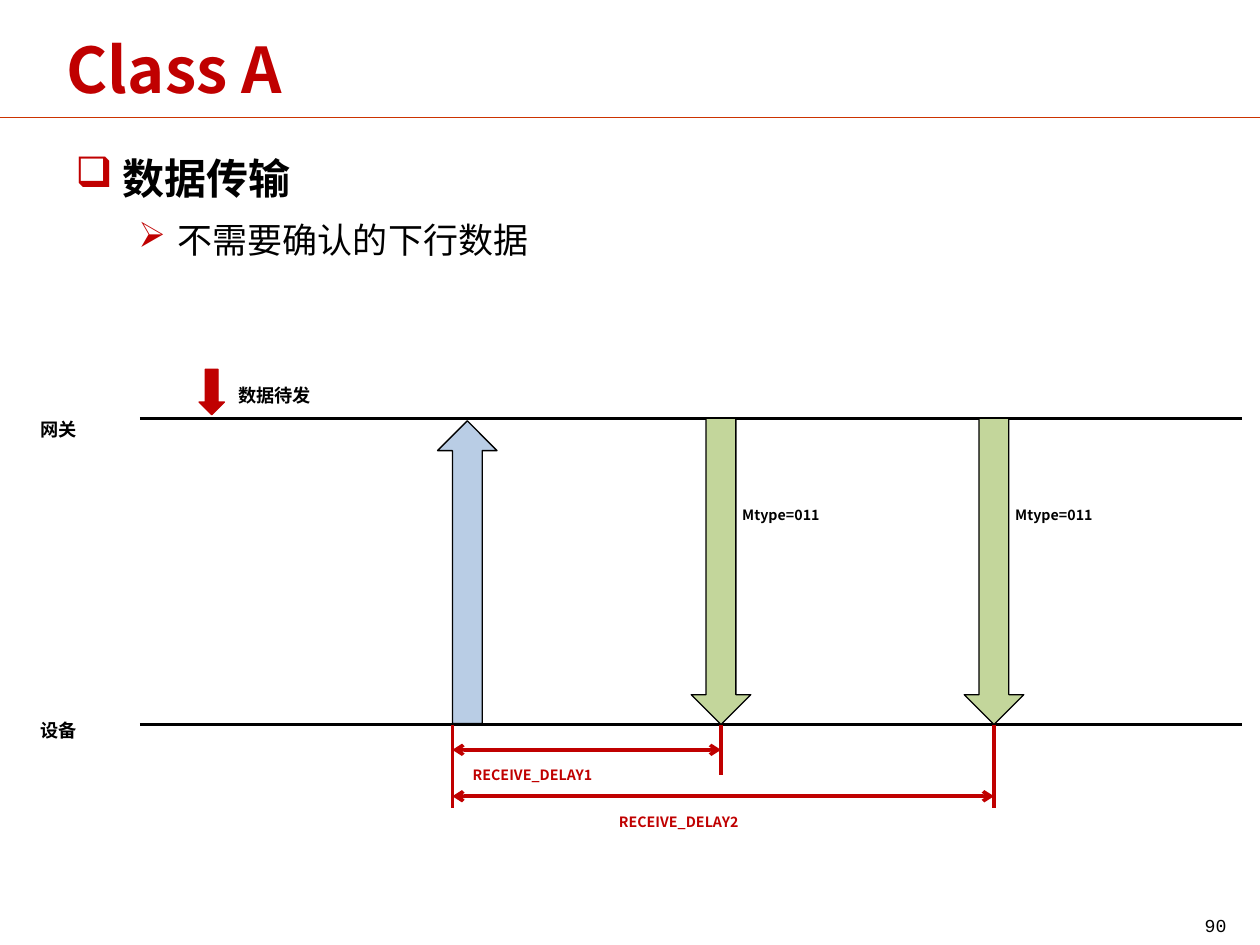
from lxml.etree import SubElement
from pptx import Presentation
from pptx.dml.color import RGBColor
from pptx.enum.shapes import MSO_CONNECTOR as Connector, MSO_SHAPE as Shape
from pptx.enum.text import MSO_ANCHOR as Anchor, PP_ALIGN as Align
from pptx.oxml.ns import qn
from pptx.util import Pt

SANS, MONO = "Noto Sans CJK SC", "Courier New"
RED, BLACK, BLUE, GREEN = "C00000", "000000", "B9CDE5", "C3D69B"

# Sequence diagram positions
GATEWAY_Y, DEVICE_Y = 239, 414
UPLINK_START_X = 258.5
WINDOW_1_X, WINDOW_2_X = 412, 568
ARROW_WIDTH = 34


def color(hex_code):
    return RGBColor.from_string(hex_code)


def format_paragraph(paragraph, size, hex_code, bold=True, font=SANS, lowered=False):
    for run in paragraph.runs:
        run.font.size, run.font.bold, run.font.name = Pt(size), bold, font
        run.font.color.rgb = color(hex_code)
        properties = run._r.get_or_add_rPr()
        SubElement(properties, qn("a:ea"), typeface=font)
        if lowered:
            properties.set("baseline", "-4000")


def add_text_frame(slide, left, top, width, height):
    frame = slide.shapes.add_textbox(Pt(left), Pt(top), Pt(width), Pt(height)).text_frame
    frame.word_wrap = True
    return frame


def add_label(slide, text, left, top, width, height, size, hex_code=BLACK, font=SANS):
    """Small label, set as subscript text."""
    frame = add_text_frame(slide, left, top, width, height)
    frame.text = text
    format_paragraph(frame.paragraphs[0], size, hex_code, font == SANS, font, lowered=True)
    return frame


def add_bullet(paragraph, text, mark, margin, indent, size, bold):
    paragraph.text = text
    properties = paragraph._p.get_or_add_pPr()
    properties.set("marL", str(Pt(margin)))
    properties.set("indent", str(Pt(indent)))
    bullet_color = SubElement(properties, qn("a:buClr"))
    SubElement(bullet_color, qn("a:srgbClr"), val=RED)
    SubElement(properties, qn("a:buChar"), char=mark)
    paragraph.line_spacing = 1.2
    format_paragraph(paragraph, size, BLACK, bold)


def add_line(slide, x1, y1, x2, y2, hex_code, width, double_headed=False):
    line = slide.shapes.add_connector(Connector.STRAIGHT, Pt(x1), Pt(y1), Pt(x2), Pt(y2))
    line.line.color.rgb = color(hex_code)
    line.line.width = Pt(width)
    if double_headed:
        stroke = line.line._get_or_add_ln()
        for end in ("a:headEnd", "a:tailEnd"):
            SubElement(stroke, qn(end), type="arrow")
    SubElement(line._element.spPr, qn("a:effectLst"))


def add_block_arrow(slide, center, top, width, height, fill, outline=BLACK, rotation=0):
    arrow = slide.shapes.add_shape(
        Shape.DOWN_ARROW, Pt(center - width / 2), Pt(top), Pt(width), Pt(height))
    arrow.shadow.inherit = False
    arrow.rotation = rotation
    arrow.fill.solid()
    arrow.fill.fore_color.rgb = color(fill)
    arrow.line.color.rgb = color(outline)
    arrow.line.width = Pt(0.75)


def add_heading(slide):
    add_line(slide, 0, 67, 720, 67, "CC3300", 0.25)
    title = add_text_frame(slide, 31, 3, 649, 72)
    title.vertical_anchor = Anchor.MIDDLE
    title.text = "Class A"
    format_paragraph(title.paragraphs[0], 36, RED)

    body = add_text_frame(slide, 36, 78, 654, 426)
    add_bullet(body.paragraphs[0], "数据传输", "❑", 27, -27, 24, True)
    detail = body.add_paragraph()
    detail.level = 1
    add_bullet(detail, "不需要确认的下行数据", "➢", 58.5, -22.5, 20, False)
    detail.space_before = Pt(4)


def add_diagram(slide):
    # Gateway and device timelines
    for name, y, label_top in (("网关", GATEWAY_Y, 227), ("设备", DEVICE_Y, 399)):
        add_line(slide, 80, y, 710, y, BLACK, 1.5)
        add_label(slide, name, 16, label_top, 53, 29, 18)

    # Pending data and uplink
    add_block_arrow(slide, 121, 211, 14.5, 26, RED, RED)
    add_label(slide, "数据待发", 129, 207.5, 91, 29, 18)
    add_block_arrow(slide, 267, 240.5, ARROW_WIDTH, 173, BLUE, rotation=180)

    # Receive windows with their delays
    add_line(slide, UPLINK_START_X, DEVICE_Y, UPLINK_START_X, 462, RED, 2)
    windows = (
        (WINDOW_1_X, 443, "RECEIVE_DELAY1", 428.5, 263),
        (WINDOW_2_X, 462, "RECEIVE_DELAY2", 455, 346.5),
    )
    for x, tick_end, delay, delay_y, label_left in windows:
        add_block_arrow(slide, x, GATEWAY_Y, ARROW_WIDTH, DEVICE_Y - GATEWAY_Y, GREEN)
        add_label(slide, "Mtype=011", x + 5, 279.5, 101, 25, 14)
        add_line(slide, x, DEVICE_Y, x, tick_end, RED, 2)
        add_line(slide, UPLINK_START_X, delay_y, x, delay_y, RED, 2, double_headed=True)
        add_label(slide, delay, label_left, delay_y - 0.5, 145, 25, 14, RED)


def main():
    deck = Presentation()
    deck.slide_width, deck.slide_height = Pt(720), Pt(540)
    slide = deck.slides.add_slide(deck.slide_layouts[6])
    add_heading(slide)
    add_diagram(slide)

    # Page number
    number = add_label(slide, "90", 648, 516, 60, 18, 18, font=MONO)
    number.vertical_anchor = Anchor.MIDDLE
    number.paragraphs[0].alignment = Align.RIGHT
    deck.save("out.pptx")


if __name__ == "__main__":
    main()
